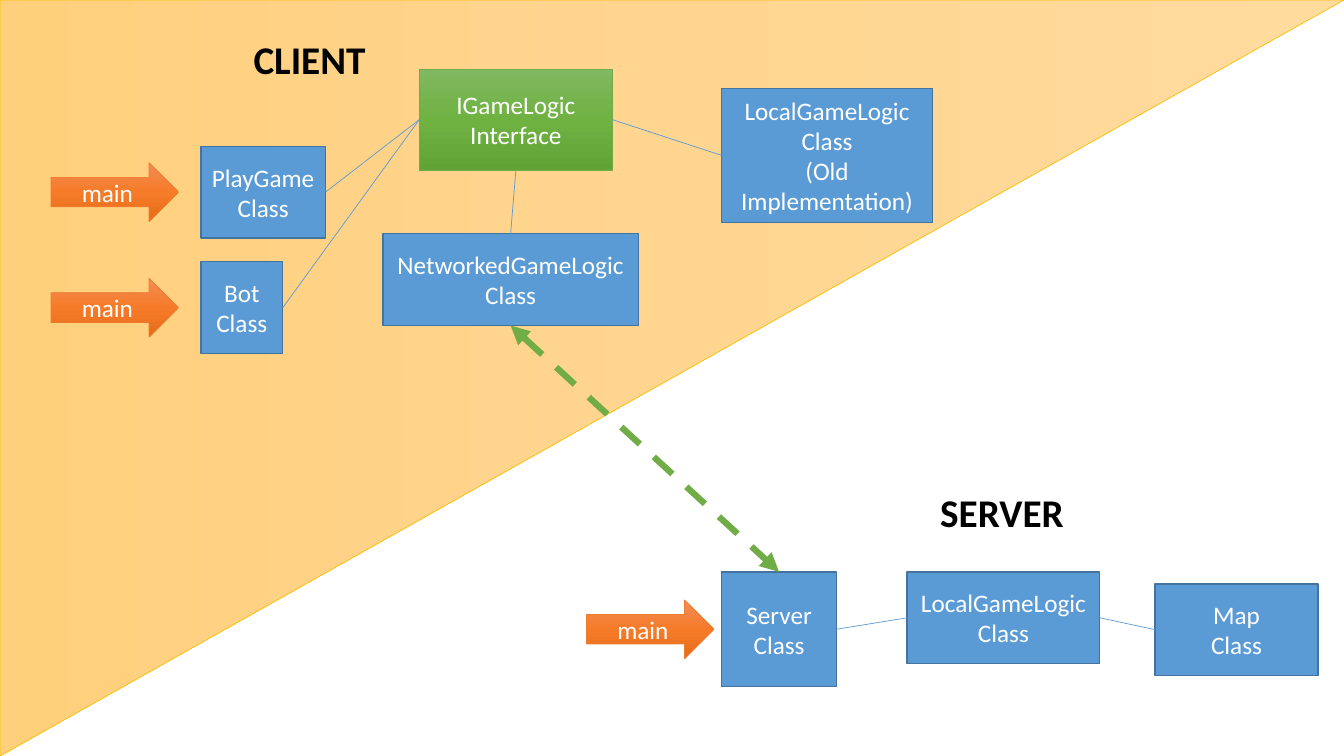
from dataclasses import dataclass

from lxml import etree
from pptx import Presentation
from pptx.dml.color import RGBColor
from pptx.enum.dml import MSO_LINE
from pptx.enum.shapes import MSO_CONNECTOR, MSO_SHAPE
from pptx.enum.text import MSO_ANCHOR, MSO_AUTO_SIZE, PP_ALIGN
from pptx.oxml.ns import qn
from pptx.util import Pt

RECT = MSO_SHAPE.RECTANGLE
ARROW = MSO_SHAPE.RIGHT_ARROW
WEDGE = MSO_SHAPE.RIGHT_TRIANGLE
LINE = MSO_CONNECTOR.STRAIGHT
DASH = MSO_LINE.DASH
MIDDLE = MSO_ANCHOR.MIDDLE
CENTER = PP_ALIGN.CENTER
GROW = MSO_AUTO_SIZE.SHAPE_TO_FIT_TEXT
TOP, LEFT, BOTTOM, RIGHT = range(4)


@dataclass(frozen=True)
class Theme:
    font: str = "Calibri"
    head: int = 28
    body: int = 18
    black: str = "000000"
    white: str = "FFFFFF"
    blue: str = "5B9BD5"
    edge: str = "43739E"
    green: str = "70AD47"
    orange: str = "ED7D31"
    gold: str = "FFC000"
    greens: tuple = ("81B861", "6FB242", "62A336")
    oranges: tuple = ("F18C57", "F67B28", "E56C19")
    golds: tuple = ("FFDB9E", "FFD590", "FFD07C")


THEME = Theme()


def rgb(code):
    return RGBColor.from_string(code)


def blend(shape, shades):
    """Fill a shape with evenly spaced shades from top to bottom."""
    shape.fill.gradient()
    shape.fill.gradient_angle = 270
    stops = next(shape._element.spPr.iter(qn("a:gsLst")))
    for old in list(stops):
        stops.remove(old)
    for i, shade in enumerate(shades):
        stop = etree.SubElement(stops, qn("a:gs"))
        stop.set("pos", str(100000 * i // (len(shades) - 1)))
        etree.SubElement(stop, qn("a:srgbClr")).set("val", shade)


def write(para, text, size, color, bold=False):
    run = para.add_run()
    run.text = text
    font = run.font
    font.name, font.size, font.bold = THEME.font, Pt(size), bold
    font.color.rgb = rgb(color)


def block(slide, kind, box, fill, edge, width, lines=()):
    """Add a shape; fill is one colour or a tuple of shades."""
    shape = slide.shapes.add_shape(kind, *map(Pt, box))
    shape.shadow.inherit = False
    if isinstance(fill, tuple):
        blend(shape, fill)
    else:
        shape.fill.solid()
        shape.fill.fore_color.rgb = rgb(fill)
    shape.line.color.rgb = rgb(edge)
    shape.line.width = Pt(width)
    frame = shape.text_frame
    frame.vertical_anchor = MIDDLE
    for i, line in enumerate(lines):
        para = frame.add_paragraph() if i else frame.paragraphs[0]
        para.alignment = CENTER
        write(para, line, THEME.body, THEME.white)
    return shape


def unit(slide, box, *lines):
    return block(slide, RECT, box, THEME.blue, THEME.edge, 1, lines)


def entry(slide, box, gap):
    """Place a main arrow to the left of a class box, centred on it."""
    x, y, _, h = box
    wide, high = 91, 42
    place = (x - gap - wide, y + (h - high) / 2, wide, high)
    block(slide, ARROW, place, THEME.oranges, THEME.orange, 0.5, ["main"])


def label(slide, box, text):
    frame = slide.shapes.add_textbox(*map(Pt, box)).text_frame
    frame.word_wrap = False
    frame.auto_size = GROW
    write(frame.paragraphs[0], text, THEME.head, THEME.black, True)


def link(slide, start, exit, end, entry, color=THEME.blue, width=0.5):
    line = slide.shapes.add_connector(LINE, 0, 0, 0, 0)
    line.begin_connect(start, exit)
    line.end_connect(end, entry)
    line.line.color.rgb = rgb(color)
    line.line.width = Pt(width)
    etree.SubElement(line._element.spPr, qn("a:effectLst"))
    return line


def remote(slide, start, end):
    """Join client and server by a dashed arrow with two heads."""
    line = link(slide, start, BOTTOM, end, TOP, THEME.green, 4.5)
    line.line.dash_style = DASH
    ln = line._element.spPr.find(qn("a:ln"))
    for tag in ("a:headEnd", "a:tailEnd"):
        etree.SubElement(ln, qn(tag)).set("type", "triangle")


def client(slide, box):
    """Draw the client half and return its networked class."""
    x, y, w, h = box
    turned = (x + (w - h) / 2, y + (h - w) / 2, h, w)
    back = block(slide, WEDGE, turned, THEME.golds, THEME.gold, 0.5)
    back.rotation = 90
    label(slide, (x + 174, y + 21.5, 96, 41), "CLIENT")

    face = block(slide, RECT, (x + 299.5, y + 49.5, 138, 72),
                 THEME.greens, THEME.green, 0.5, ["IGameLogic", "Interface"])
    net = unit(slide, (x + 273.5, y + 167, 182.5, 65.5),
               "NetworkedGameLogic", "Class")
    local = unit(slide, (x + 515.5, y + 63, 150.5, 96),
                 "LocalGameLogic", "Class", "(Old Implementation)")
    for name, top, wide in (("PlayGame", 104.5, 89), ("Bot", 187, 58.5)):
        place = (x + 143.5, y + top, wide, 65.5)
        entry(slide, place, 16)
        user = unit(slide, place, name, "Class")
        link(slide, user, RIGHT, face, LEFT)
    link(slide, face, BOTTOM, net, TOP)
    link(slide, face, RIGHT, local, LEFT)
    return net


def server(slide, box):
    """Draw the server half and return its server class."""
    x, y, _, _ = box
    label(slide, (x + 264.5, y + 5.5, 104, 41), "SERVER")
    place = (x + 115.5, y + 68.5, 82, 82)
    entry(slide, place, 5.5)
    host = unit(slide, place, "Server", "Class")
    local = unit(slide, (x + 248, y + 68.5, 137.5, 65.5),
                 "LocalGameLogic", "Class")
    world = unit(slide, (x + 425, y + 77, 116.5, 65.5), "Map", "Class")
    link(slide, host, RIGHT, local, LEFT)
    link(slide, local, RIGHT, world, LEFT)
    return host


def main():
    deck = Presentation()
    deck.slide_width, deck.slide_height = Pt(960), Pt(540)
    slide = deck.slides.add_slide(deck.slide_layouts[6])
    net = client(slide, (0, 0, 960, 540))
    host = server(slide, (400, 340, 560, 200))
    remote(slide, net, host)
    deck.save("out.pptx")


if __name__ == "__main__":
    main()
